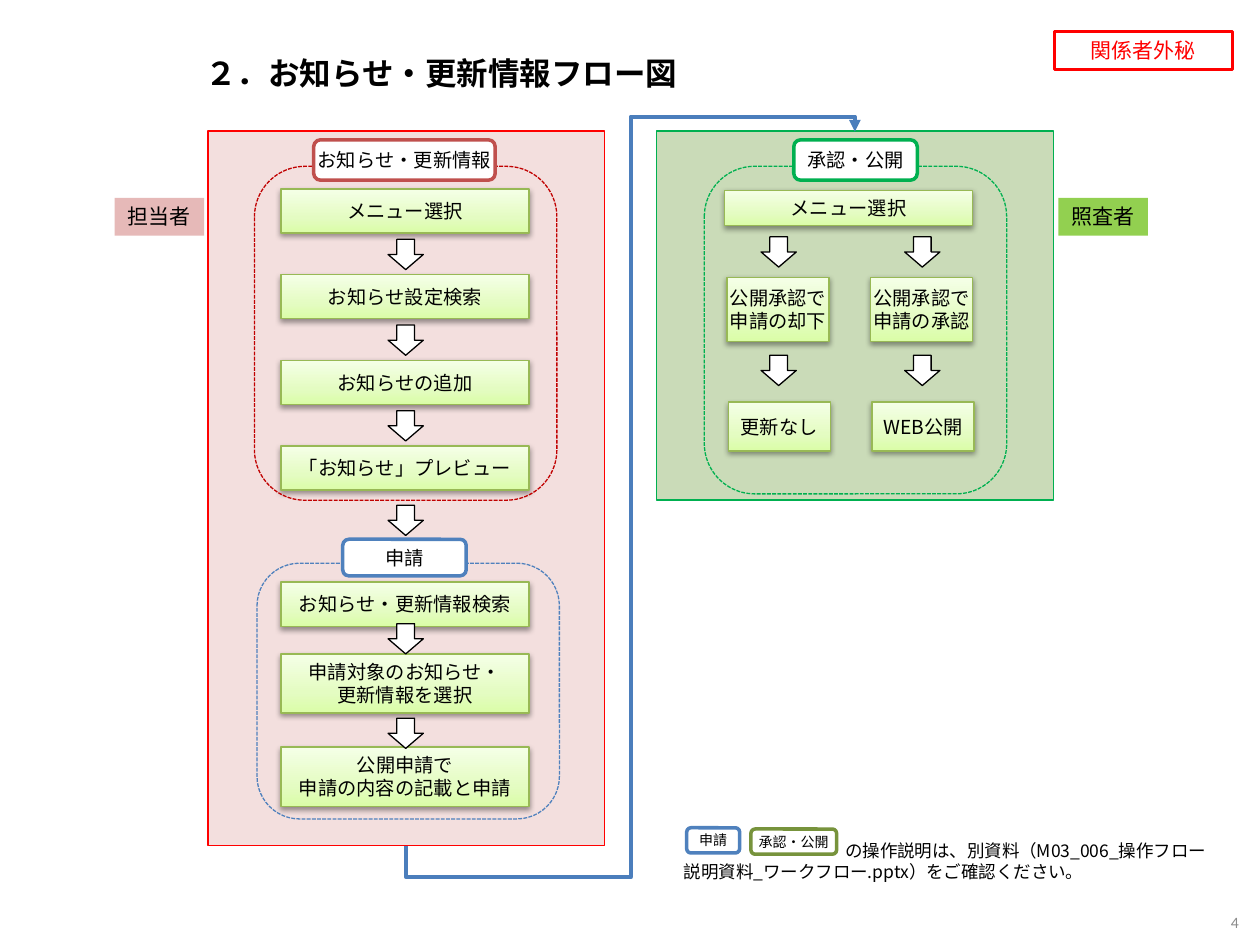
from lxml import etree
from pptx import Presentation
from pptx.dml.color import RGBColor
from pptx.enum.dml import MSO_LINE
from pptx.enum.shapes import MSO_CONNECTOR, MSO_SHAPE
from pptx.enum.text import MSO_ANCHOR, PP_ALIGN
from pptx.oxml import parse_xml
from pptx.oxml.ns import nsdecls, qn
from pptx.util import Inches, Pt

FONT = "Noto Sans CJK JP"
COLORS = {
    "black": "000000", "white": "FFFFFF", "red": "FF0000",
    "dark_red": "C00000", "brick": "C0504D", "pink": "E6B9B8",
    "green": "00B050", "moss": "6D9C3C", "olive": "77933C",
    "lime": "92D050", "step_line": "98B955", "blue": "4F81BD",
    "route": "4B7EBC", "gray": "8C8C8C",
}
STEP_GRADIENT = ((0, "DAFDA7"), (35, "E4FCC2"), (100, "F5FFE7"))
STEP_WIDTH = 1.97


def rgb(name):
    return RGBColor.from_string(COLORS[name])


def add_run(paragraph, text, size, color="black", bold=False, font_name=FONT):
    run = paragraph.add_run()
    run.text = text
    run.font.size = Pt(size)
    run.font.bold = bold
    run.font.color.rgb = rgb(color)
    run.font.name = font_name
    east_asian = etree.SubElement(run.font._element, qn("a:ea"))
    east_asian.set("typeface", font_name)


def write_text(shape, paragraphs, size, color="black", align=PP_ALIGN.CENTER,
               anchor=MSO_ANCHOR.MIDDLE, side=0.1, wrap=True, bold=False,
               font_name=FONT):
    frame = shape.text_frame
    frame.word_wrap = wrap
    frame.vertical_anchor = anchor
    frame.margin_left = frame.margin_right = Inches(side)
    for index, text in enumerate(paragraphs):
        paragraph = frame.add_paragraph() if index else frame.paragraphs[0]
        paragraph.alignment = align
        for number, line in enumerate(text.split("\n")):
            if number:
                paragraph.add_line_break()
            add_run(paragraph, line, size, color, bold, font_name)


def add_box(slide, kind, left, top, width, height, fill=None, line=None,
            weight=0.75, alpha=None):
    shape = slide.shapes.add_shape(
        kind, Inches(left), Inches(top), Inches(width), Inches(height))
    shape.shadow.inherit = False
    if fill:
        shape.fill.solid()
        shape.fill.fore_color.rgb = rgb(fill)
        if alpha:
            color = shape._element.spPr.find(qn("a:solidFill"))[0]
            etree.SubElement(color, qn("a:alpha")).set("val", str(alpha * 1000))
    else:
        shape.fill.background()
    if line:
        shape.line.color.rgb = rgb(line)
        shape.line.width = Pt(weight)
    else:
        shape.line.fill.background()
    return shape


def add_step(slide, left, top, width, height, *paragraphs):
    shape = add_box(slide, MSO_SHAPE.RECTANGLE, left, top, width, height,
                    line="step_line")
    properties = shape._element.spPr
    stops = "".join(
        f'<a:gs pos="{position * 1000}"><a:srgbClr val="{color}"/></a:gs>'
        for position, color in STEP_GRADIENT)
    gradient = parse_xml(
        f'<a:gradFill {nsdecls("a")} rotWithShape="1"><a:gsLst>{stops}</a:gsLst>'
        '<a:lin ang="16200000" scaled="0"/></a:gradFill>')
    properties.replace(properties.find(qn("a:noFill")), gradient)
    properties.find(qn("a:effectLst")).append(parse_xml(
        f'<a:outerShdw {nsdecls("a")} blurRad="40000" dist="20000" dir="5400000" '
        'rotWithShape="0"><a:srgbClr val="000000"><a:alpha val="38000"/>'
        '</a:srgbClr></a:outerShdw>'))
    write_text(shape, paragraphs, 11, side=0)


def add_down_arrow(slide, left, top):
    add_box(slide, MSO_SHAPE.DOWN_ARROW, left, top, 0.28, 0.24, "white", "black")


def add_frame(slide, left, top, height, color):
    shape = add_box(slide, MSO_SHAPE.ROUNDED_RECTANGLE, left, top, 2.4, height,
                    line=color)
    shape.line.dash_style = MSO_LINE.SQUARE_DOT


def add_heading(slide, left, top, width, height, text, color, size=11):
    shape = add_box(slide, MSO_SHAPE.ROUNDED_RECTANGLE, left, top, width, height,
                    "white", color, 2)
    write_text(shape, [text], size, side=0)


def add_role(slide, left, text, fill):
    shape = add_box(slide, MSO_SHAPE.RECTANGLE, left, 1.57, 0.71, 0.3, fill)
    write_text(shape, [text], 12, anchor=MSO_ANCHOR.TOP, wrap=False)


def add_text(slide, left, top, width, height, paragraphs, size, **style):
    box = slide.shapes.add_textbox(
        Inches(left), Inches(top), Inches(width), Inches(height))
    write_text(box, paragraphs, size, **style)
    return box


def add_route(slide):
    connector = slide.shapes.add_connector(
        MSO_CONNECTOR.ELBOW, Inches(2.17), Inches(2.1),
        Inches(2.17 + 5.67), Inches(2.1 + 3.56))
    connector.line.color.rgb = rgb("route")
    connector.line.width = Pt(2.25)
    properties = connector._element.spPr
    transform = properties.find(qn("a:xfrm"))
    for name, value in (("rot", "5400000"), ("flipH", "1"), ("flipV", "1")):
        transform.set(name, value)
    geometry = properties.find(qn("a:prstGeom"))
    geometry.set("prst", "bentConnector5")
    adjustments = geometry.find(qn("a:avLst"))
    for index, value in enumerate((-4400, 50000, 102100), 1):
        guide = etree.SubElement(adjustments, qn("a:gd"))
        guide.set("name", f"adj{index}")
        guide.set("fmla", f"val {value}")
    tail = etree.SubElement(properties.find(qn("a:ln")), qn("a:tailEnd"))
    tail.set("type", "triangle")
    etree.SubElement(properties, qn("a:effectLst"))


def add_notice_flow(slide):
    steps = ("メニュー選択", "お知らせ設定検索", "お知らせの追加", "「お知らせ」プレビュー")
    pitch = 0.68
    for index, text in enumerate(steps):
        add_step(slide, 2.23, 1.5 + index * pitch, STEP_WIDTH, 0.35, text)
    add_frame(slide, 2.02, 1.32, 2.65, "dark_red")
    add_heading(slide, 2.49, 1.11, 1.44, 0.32, "お知らせ・更新情報", "brick")
    for top in (*(1.9 + index * pitch for index in range(3)), 4.01):
        add_down_arrow(slide, 3.08, top)


def add_request_flow(slide):
    add_step(slide, 2.23, 5.93, STEP_WIDTH, 0.47, "公開申請で", "申請の内容の記載と申請")
    add_step(slide, 2.23, 5.19, STEP_WIDTH, 0.47, "申請対象のお知らせ・\n更新情報を選択")
    add_step(slide, 2.23, 4.62, STEP_WIDTH, 0.35, "お知らせ・更新情報検索")
    add_frame(slide, 2.04, 4.47, 2.03, "blue")
    add_heading(slide, 2.72, 4.28, 0.98, 0.29, "申請", "blue")
    for top in (4.95, 5.7):
        add_down_arrow(slide, 3.08, top)


def add_approval_flow(slide):
    add_step(slide, 5.75, 1.51, STEP_WIDTH, 0.28, "メニュー選択")
    branches = (("申請の却下", "更新なし"), ("申請の承認", "WEB公開"))
    for index, (decision, result) in enumerate(branches):
        shift = index * 1.14
        add_step(slide, 5.77 + shift, 2.2, 0.81, 0.51, "公開承認で", decision)
        add_step(slide, 5.78 + shift, 3.19, 0.81, 0.39, result)
        for top in (1.88, 2.82):
            add_down_arrow(slide, 6.04 + shift, top)
    add_frame(slide, 5.59, 1.32, 2.6, "green")
    add_heading(slide, 6.3, 1.11, 0.98, 0.32, "承認・公開", "green")


def add_reference_note(slide):
    note = add_text(
        slide, 5.33, 6.62, 4.52, 0.56,
        ["の操作説明は、別資料（M03_006_操作フロー", "説明資料_ワークフロー.pptx）をご確認ください。"],
        10, align=PP_ALIGN.LEFT, anchor=MSO_ANCHOR.TOP)
    first_line = note.text_frame.paragraphs[0]._p.get_or_add_pPr()
    first_line.set("indent", str(Inches(1.28)))
    add_heading(slide, 5.45, 6.57, 0.42, 0.2, "申請", "blue", 8)
    add_heading(slide, 5.96, 6.58, 0.68, 0.2, "承認・公開", "olive", 8)


def main():
    presentation = Presentation()
    presentation.slide_width = Inches(10)
    presentation.slide_height = Inches(7.5)
    slide = presentation.slides.add_slide(presentation.slide_layouts[6])

    stamp = add_box(slide, MSO_SHAPE.RECTANGLE, 8.37, 0.25, 1.41, 0.3,
                    line="red", weight=1.5)
    write_text(stamp, ["関係者外秘"], 12, "red", anchor=MSO_ANCHOR.TOP)
    add_box(slide, MSO_SHAPE.RECTANGLE, 5.21, 1.04, 3.15, 2.93,
            "moss", "green", alpha=36)
    add_box(slide, MSO_SHAPE.RECTANGLE, 1.65, 1.04, 3.15, 5.67,
            "brick", "red", alpha=18)
    add_notice_flow(slide)
    add_request_flow(slide)
    add_approval_flow(slide)
    add_role(slide, 0.91, "担当者", "pink")
    add_role(slide, 8.4, "照査者", "lime")
    add_text(slide, 1.53, 0.31, 7.81, 0.54, ["２．お知らせ・更新情報フロー図"], 18,
             align=PP_ALIGN.LEFT, bold=True)
    add_route(slide)
    add_text(slide, 9.17, 7.16, 0.76, 0.32, ["4"], 9, color="gray",
             align=PP_ALIGN.RIGHT, font_name="Calibri")
    add_reference_note(slide)
    presentation.save("out.pptx")


if __name__ == "__main__":
    main()
